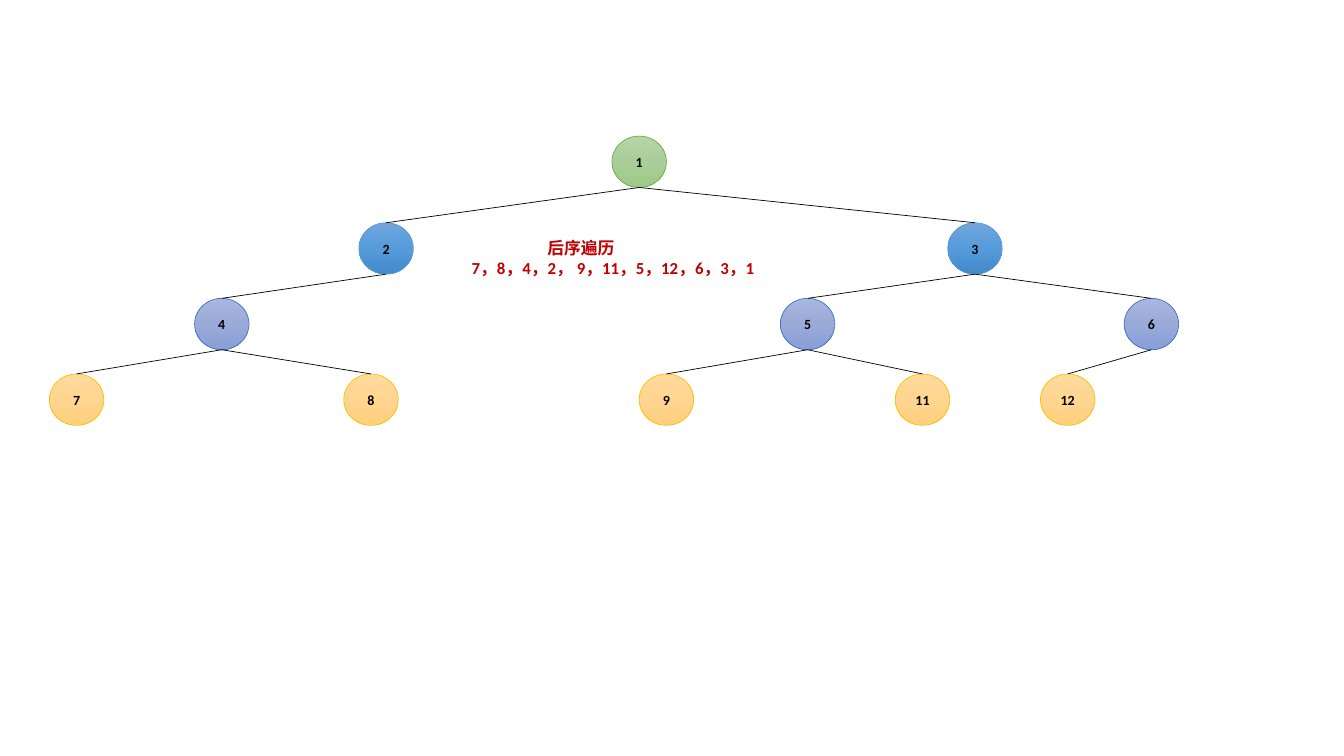
from copy import deepcopy

from pptx import Presentation
from pptx.dml.color import RGBColor
from pptx.enum.shapes import MSO_CONNECTOR, MSO_SHAPE
from pptx.enum.text import MSO_ANCHOR, MSO_AUTO_SIZE, PP_ALIGN
from pptx.oxml.ns import qn
from pptx.util import Inches, Pt

COLORS = {"black": "000000", "red": "C00000"}

# One entry per tree level: gradient from top to bottom, then outline
LEVEL_COLORS = [
    {"gradient": ["B5D5A7", "AACE9A", "9CC987"], "outline": "70AD47"},
    {"gradient": ["71A6DB", "559BDB", "448ACA"], "outline": "5B9BD5"},
    {"gradient": ["A8B7DF", "9AABD9", "889ED7"], "outline": "4472C4"},
    {"gradient": ["FFDB9E", "FFD590", "FFD07C"], "outline": "FFC000"},
]
LEVEL_TOPS = [1.35, 2.21, 2.96, 3.71]
NODE_WIDTH, NODE_HEIGHT = 0.54, 0.51

# Label: (level, centre x, parent label)
NODES = {
    "1": (0, 6.34, None),
    "2": (1, 3.83, "1"),
    "3": (1, 9.67, "1"),
    "4": (2, 2.2, "2"),
    "5": (2, 8.01, "3"),
    "6": (2, 11.42, "3"),
    "7": (3, 0.76, "4"),
    "8": (3, 3.68, "4"),
    "9": (3, 6.61, "5"),
    "11": (3, 9.15, "5"),
    "12": (3, 10.59, "6"),
}


def rgb(value):
    return RGBColor.from_string(value)


def write(para, text, size=10, color="black", align=None, indent=0):
    span = para.add_run()
    span.text = text
    span.font.name = "Calibri"
    span.font.size = Pt(size)
    span.font.bold = True
    span.font.color.rgb = rgb(COLORS[color])
    para.alignment = align
    if indent:
        para._p.get_or_add_pPr().set("marL", str(Inches(indent)))


def fill_gradient(shape, colors):
    """Fill from top to bottom with three evenly spaced colours."""
    shape.fill.gradient()
    shape.fill.gradient_angle = 270
    stop_list = shape._element.spPr.find(".//" + qn("a:gsLst"))
    stop_list.append(deepcopy(stop_list[-1]))
    for index, (stop, color) in enumerate(zip(shape.fill.gradient_stops, colors)):
        stop.position = index / 2
        stop.color.rgb = rgb(color)


def add_node(page, label, level, center):
    node = page.shapes.add_shape(
        MSO_SHAPE.OVAL, Inches(center - NODE_WIDTH / 2), Inches(LEVEL_TOPS[level]),
        Inches(NODE_WIDTH), Inches(NODE_HEIGHT))
    node.shadow.inherit = False
    fill_gradient(node, LEVEL_COLORS[level]["gradient"])
    node.line.color.rgb = rgb(LEVEL_COLORS[level]["outline"])
    node.line.width = Pt(0.5)
    frame = node.text_frame
    frame.vertical_anchor = MSO_ANCHOR.MIDDLE
    frame.margin_left = frame.margin_right = 0
    write(frame.paragraphs[0], label, align=PP_ALIGN.CENTER)


def add_branch(page, parent, child):
    """Join the bottom of the parent to the top of the child."""
    parent_level, parent_x, _ = NODES[parent]
    child_level, child_x, _ = NODES[child]
    branch = page.shapes.add_connector(
        MSO_CONNECTOR.STRAIGHT,
        Inches(parent_x), Inches(LEVEL_TOPS[parent_level] + NODE_HEIGHT),
        Inches(child_x), Inches(LEVEL_TOPS[child_level]))
    branch.line.color.rgb = rgb(COLORS["black"])
    branch.line.width = Pt(0.5)
    properties = branch._element.spPr
    properties.append(properties.makeelement(qn("a:effectLst"), {}))


def add_traversal(page):
    box = page.shapes.add_textbox(Inches(4.58), Inches(2.31), Inches(3.33), Inches(0.5))
    frame = box.text_frame
    frame.word_wrap = True
    frame.auto_size = MSO_AUTO_SIZE.SHAPE_TO_FIT_TEXT
    write(frame.paragraphs[0], "后序遍历", size=12, color="red", indent=0.75)
    write(frame.add_paragraph(), "7，8，4，2， 9，11，5，12，6，3，1", size=12, color="red")


def main():
    deck = Presentation()
    deck.slide_width, deck.slide_height = Inches(13.33), Inches(7.5)
    page = deck.slides.add_slide(deck.slide_layouts[6])
    for label, (level, center, _) in NODES.items():
        add_node(page, label, level, center)
    for label, (_, _, parent) in NODES.items():
        if parent:
            add_branch(page, parent, label)
    add_traversal(page)
    deck.save("out.pptx")


if __name__ == "__main__":
    main()
